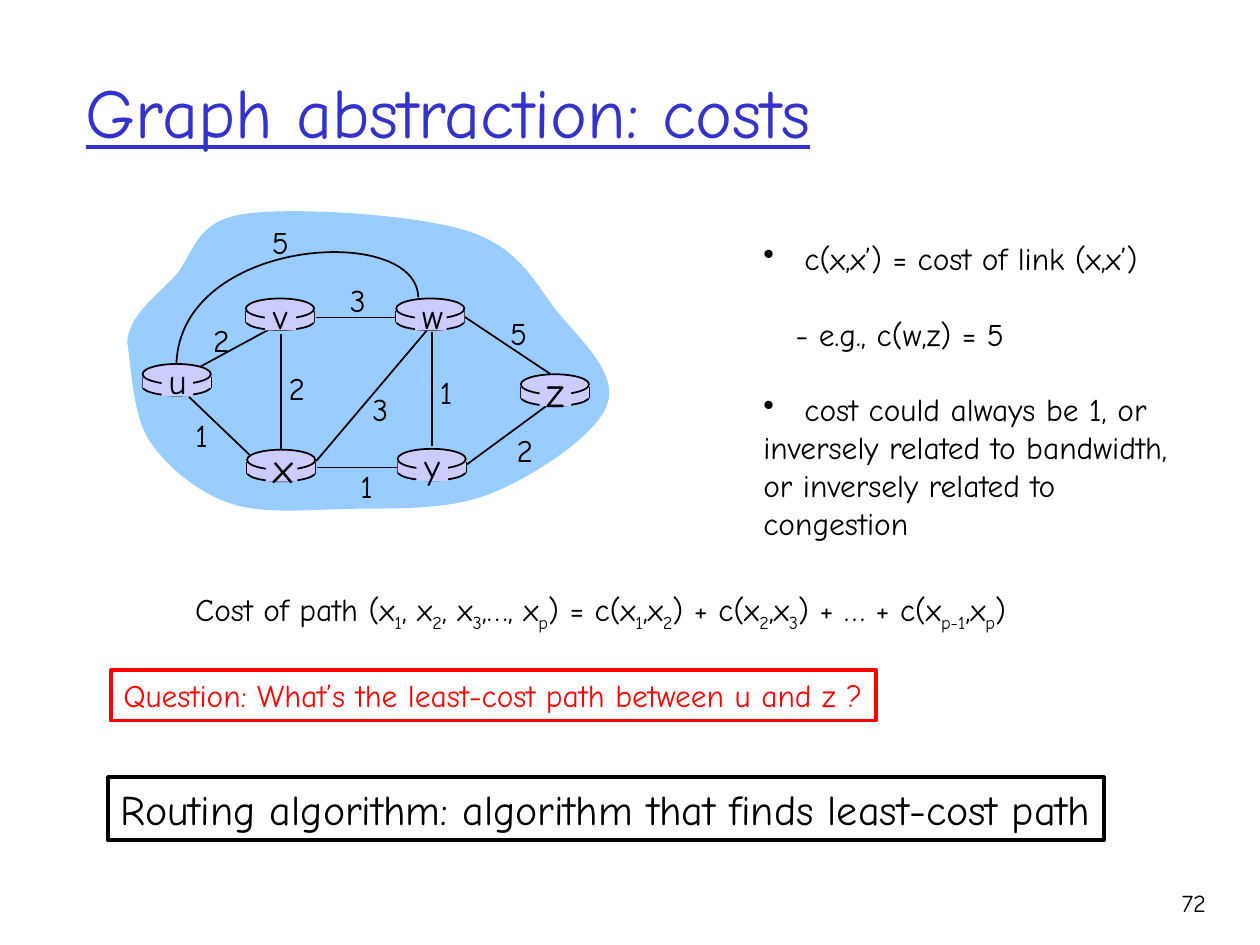
from pptx import Presentation
from pptx.dml.color import RGBColor
from pptx.enum.shapes import MSO_CONNECTOR, MSO_SHAPE
from pptx.enum.text import MSO_ANCHOR, MSO_AUTO_SIZE, PP_ALIGN
from pptx.oxml.ns import qn
from pptx.oxml.xmlchemy import OxmlElement
from pptx.util import Pt

FONT = "Comic Neue"
BLACK, BLUE, RED = "000000", "3333CC", "FF0000"
CLOUD_BLUE, ROUTER_LILAC = "99CCFF", "CCCCFF"

CLOUD = [
    (72.7, 195.8),
    (73.4, 180.7), (88.6, 169.9), (100.1, 157.7),
    (110.9, 145.4), (110.9, 126.7), (139, 122.4),
    (166.3, 118.1), (236.2, 122.4), (266.4, 131.8),
    (296.6, 141.1), (305.3, 161.3), (318.2, 177.8),
    (331.9, 194.4), (353.5, 213.8), (347, 231.1),
    (341.3, 248.4), (305.3, 272.2), (280.1, 282.2),
    (254.9, 292.3), (221.8, 290.2), (196.6, 290.9),
    (172.1, 291.6), (149, 293.8), (130.3, 287.3),
    (112.3, 280.8), (95, 266.4), (85, 251.3),
    (75.6, 236.2), (74.9, 207.4), (72.7, 195.8),
]
LINK_U_W = [(239, 169.9), (238.3, 127.4), (103, 135.4), (100.8, 208.1)]
LINKS = [
    ((114.5, 209.5), (157, 186.5)),
    ((160.6, 190.8), (160.6, 257.8)),
    ((142.6, 259.9), (108, 226.8)),
    ((180.7, 263.5), (244.1, 188.6)),
    ((227.5, 267.1), (181.4, 267.1)),
    ((247, 190), (247, 254.9)),
    ((266.4, 265.7), (312.5, 231.8)),
    ((314.6, 213.8), (265, 180.7)),
    ((226.8, 181.4), (180.7, 181.4)),
]
COSTS = [
    ("2", 126.4, 194.4), ("2", 169.6, 221.8), ("1", 115.2, 248.4),
    ("3", 217.4, 234), ("1", 209.5, 277.9), ("1", 254.9, 223.9),
    ("2", 299.9, 257), ("5", 296.3, 190.1), ("3", 204.5, 171.4),
    ("5", 160.2, 138.2),
]
ROUTERS = [
    ("u", 81.5, 208, 20), ("y", 227.2, 256.5, 20), ("x", 141.2, 257, 24),
    ("w", 226.4, 170.6, 20), ("v", 140.5, 170.6, 20), ("z", 297.6, 213.9, 24),
]
ROUTER_WIDTH = 39
NOTES = [
    ("c(x,x’) = cost of link (x,x’)", "bullet", 0),
    ("- e.g., c(w,z) = 5", "dash", 21.6),
    ("cost could always be 1, or", "bullet", 21.6),
    ("inversely related to bandwidth,", "plain", 0),
    ("or inversely related to", "plain", 0),
    ("congestion", "plain", 0),
]
INDENTS = {"bullet": (23.5, -23.5), "dash": (18.5, 0), "plain": (0, 0)}
PATH_COST = [
    "Cost of path (x", "1", ", x", "2", ", x", "3", ",…, x", "p", ") = c(x", "1",
    ",x", "2", ") + c(x", "2", ",x", "3", ") + … + c(x", "p-1", ",x", "p", ")",
]
STATEMENTS = [
    ("Question: What’s the least-cost path between u and z ?",
     (63.4, 383, 437, 28.8), 18, RED),
    ("Routing algorithm: algorithm that finds least-cost path",
     (61.9, 444.2, 568.8, 36), 24, BLACK),
]


def rgb(code):
    return RGBColor.from_string(code)


def paint(shape, fill=None, line=None, width=1):
    shape.shadow.inherit = False
    if fill:
        shape.fill.solid()
        shape.fill.fore_color.rgb = rgb(fill)
    else:
        shape.fill.background()
    if line:
        shape.line.color.rgb = rgb(line)
        shape.line.width = Pt(width)
    else:
        shape.line.fill.background()


def add_preset(kind, box, **look):
    shape = slide.shapes.add_shape(kind, *map(Pt, box))
    paint(shape, **look)
    return shape


def add_link(start, end):
    link = slide.shapes.add_connector(MSO_CONNECTOR.STRAIGHT, *map(Pt, start + end))
    link.line.color.rgb = rgb(BLACK)
    link.line.width = Pt(1)
    link._element.spPr.append(OxmlElement("a:effectLst"))


def add_curve(points, close, **look):
    start, *rest = [(Pt(x), Pt(y)) for x, y in points]
    builder = slide.shapes.build_freeform(*start)
    builder.add_line_segments(rest, close=close)
    curve = builder.convert_to_shape()
    outline = next(curve._element.iter(qn("a:path")))
    steps = outline.findall(qn("a:lnTo"))
    for first in range(0, len(steps), 3):
        bezier = OxmlElement("a:cubicBezTo")
        steps[first].addprevious(bezier)
        for step in steps[first:first + 3]:
            bezier.append(step[0])
            outline.remove(step)
    paint(curve, **look)


def add_run(paragraph, text, size, color=BLACK):
    run = paragraph.add_run()
    run.text = text
    run.font.name = FONT
    run.font.size = Pt(size)
    run.font.color.rgb = rgb(color)
    return run


def add_text(box, wrap=False):
    frame = slide.shapes.add_textbox(*map(Pt, box)).text_frame
    frame.word_wrap = wrap
    frame.auto_size = MSO_AUTO_SIZE.NONE if wrap else MSO_AUTO_SIZE.SHAPE_TO_FIT_TEXT
    return frame


def add_centred(text, x, y, size):
    width, height = 24, size * 1.2 + 7.2
    frame = add_text((x - width / 2, y - height / 2, width, height))
    frame.paragraphs[0].alignment = PP_ALIGN.CENTER
    add_run(frame.paragraphs[0], text, size)


def add_router(letter, left, top, size):
    right = left + ROUTER_WIDTH
    disc = dict(fill=ROUTER_LILAC, line=BLACK)
    add_preset(MSO_SHAPE.OVAL, (left, top + 8, ROUTER_WIDTH, 10), **disc)
    for side in (left, right):
        add_link((side, top + 7.3), (side, top + 13.7))
    add_preset(MSO_SHAPE.RECTANGLE, (left, top + 7.3, ROUTER_WIDTH, 6.4), fill=ROUTER_LILAC)
    add_preset(MSO_SHAPE.OVAL, (left, top, ROUTER_WIDTH, 11.5), **disc)
    add_preset(MSO_SHAPE.RECTANGLE, (left + 10.8, top + 1.8, 18, 16.5), fill=ROUTER_LILAC)
    add_centred(letter, left + 19.8, top + 9.6, size)


presentation = Presentation()
presentation.slide_width, presentation.slide_height = Pt(720), Pt(540)
slide = presentation.slides.add_slide(presentation.slide_layouts[5])

title = slide.shapes.title
title.left, title.top, title.width, title.height = map(Pt, (41.8, 18, 612, 90))
title.text_frame.vertical_anchor = MSO_ANCHOR.MIDDLE
title.text_frame.auto_size = MSO_AUTO_SIZE.NONE
heading = title.text_frame.paragraphs[0]
heading.alignment = PP_ALIGN.LEFT
add_run(heading, "Graph abstraction: costs", 40, BLUE).font.underline = True

add_curve(CLOUD, True, fill=CLOUD_BLUE)
for start, end in LINKS:
    add_link(start, end)
add_curve(LINK_U_W, False, line=BLACK)
for router in ROUTERS:
    add_router(*router)
for cost, x, y in COSTS:
    add_centred(cost, x, y, 18)

notes = add_text((429.1, 133.2, 247, 180))
for index, (text, style, gap) in enumerate(NOTES):
    note = notes.add_paragraph() if index else notes.paragraphs[0]
    note.space_before = Pt(gap)
    properties = note._p.get_or_add_pPr()
    for key, length in zip(("marL", "indent"), INDENTS[style]):
        properties.set(key, str(Pt(length)))
    if style == "bullet":
        bullet = OxmlElement("a:buChar")
        bullet.set("char", "•")
        properties.append(bullet)
    add_run(note, text, 18)

formula = add_text((104.4, 333.4, 489.6, 31.7)).paragraphs[0]
for index, text in enumerate(PATH_COST):
    term = add_run(formula, text, 18)
    if index % 2:
        term._r.get_or_add_rPr().set("baseline", "-25000")

for text, box, size, color in STATEMENTS:
    frame = add_preset(MSO_SHAPE.RECTANGLE, box, line=color, width=2.25).text_frame
    frame.word_wrap = False
    frame.auto_size = MSO_AUTO_SIZE.SHAPE_TO_FIT_TEXT
    frame.vertical_anchor = MSO_ANCHOR.TOP
    frame.paragraphs[0].alignment = PP_ALIGN.LEFT
    add_run(frame.paragraphs[0], text, size, color)

page_number = add_text((643, 504, 53.3, 36), wrap=True).paragraphs[0]
page_number.alignment = PP_ALIGN.RIGHT
add_run(page_number, "72", 14)

presentation.save("out.pptx")
